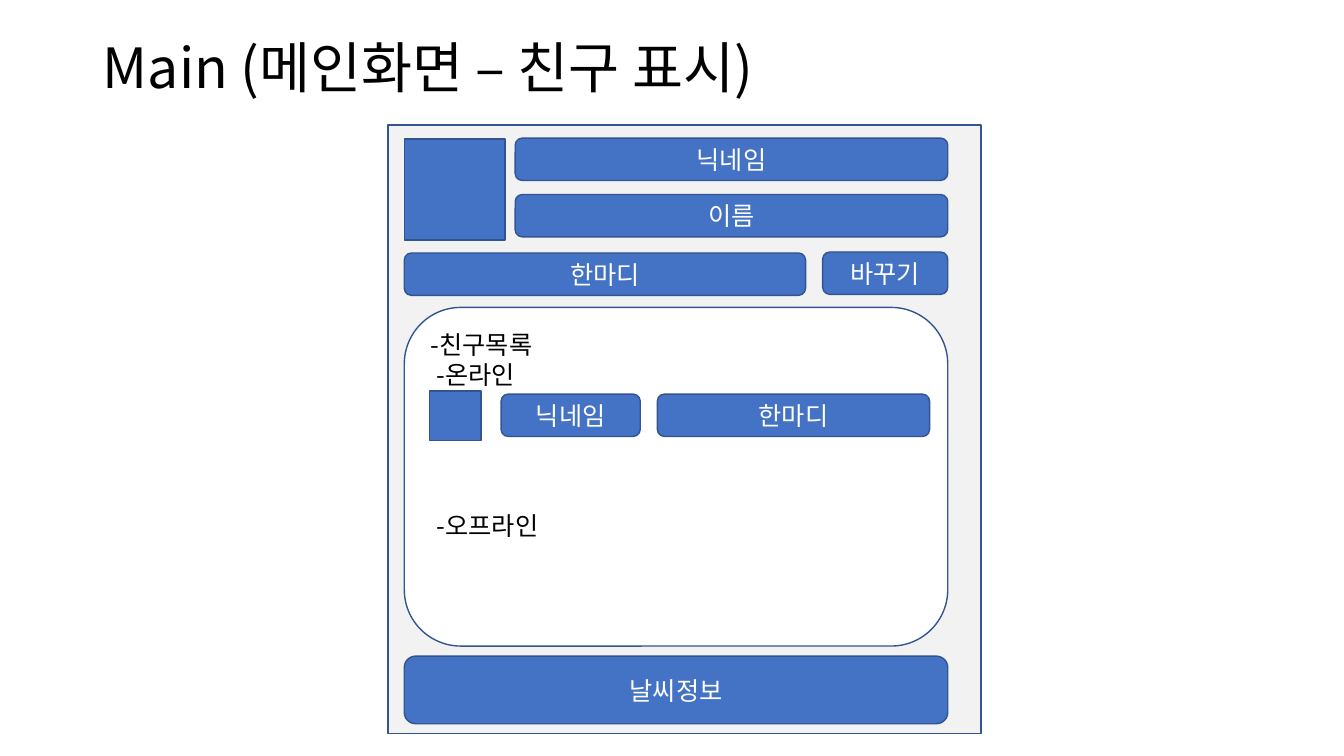
from dataclasses import dataclass

from lxml import etree
from pptx import Presentation, util as u
from pptx.dml.color import RGBColor
from pptx.enum import shapes, text
from pptx.oxml import ns

PX = 9144
RECT = shapes.MSO_SHAPE.RECTANGLE
ROUND = shapes.MSO_SHAPE.ROUNDED_RECTANGLE


@dataclass(frozen=True)
class Theme:
    font: str = "Noto Sans CJK KR"
    ink: str = "000000"
    white: str = "FFFFFF"
    panel: str = "F2F2F2"
    blue: str = "4472C4"
    edge: str = "325491"
    head: float = 39.6
    body: float = 18
    line: float = 1
    pitch: float = 21.6


@dataclass(frozen=True)
class Box:
    left: int
    top: int
    width: int
    height: int
    label: str = ""
    kind: int = ROUND
    fill: str = Theme.blue


@dataclass(frozen=True)
class Item:
    label: str
    indent: int = 0
    gap: int = 0


THEME = Theme()
LEFT, RIGHT, BAR = 401, 940, 42
NAME, ROW = 511, 391

TITLE = Box(92, 40, 1150, 59, "Main (메인화면 – 친구 표시)")
PANEL = Box(385, 124, 588, 604, kind=RECT, fill=THEME.panel)
LIST = Box(LEFT, 305, RIGHT - LEFT, 336, fill=THEME.white)
BOXES = [
    Box(NAME, 137, RIGHT - NAME, BAR, "닉네임"),
    Box(NAME, 193, RIGHT - NAME, BAR, "이름"),
    Box(LEFT, 251, 398, BAR, "한마디"),
    Box(816, 250, RIGHT - 816, BAR, "바꾸기"),
    Box(LEFT, 138, 100, 100, kind=RECT),
    Box(426, 388, 51, 49, kind=RECT),
    Box(497, ROW, 138, BAR, "닉네임"),
    Box(652, ROW, 270, BAR, "한마디"),
    Box(LEFT, 651, RIGHT - LEFT, 67, "날씨정보"),
]
ITEMS = [Item("-친구목록"), Item("-온라인", 6), Item("-오프라인", 6, 4)]


def style(para, size: float, color: str) -> None:
    font = para.font
    font.size = u.Pt(size)
    font.color.rgb = RGBColor.from_string(color)
    font.name = THEME.font
    props = para._p.pPr.find(ns.qn("a:defRPr"))
    etree.SubElement(props, ns.qn("a:ea"), typeface=THEME.font)


def draw(slide, box: Box):
    place = [n * PX for n in (box.left, box.top, box.width, box.height)]
    shape = slide.shapes.add_shape(box.kind, *place)
    shape.shadow.inherit = False
    shape.fill.solid()
    shape.fill.fore_color.rgb = RGBColor.from_string(box.fill)
    shape.line.color.rgb = RGBColor.from_string(THEME.edge)
    shape.line.width = u.Pt(THEME.line)
    if box.label:
        frame = shape.text_frame
        frame.vertical_anchor = text.MSO_ANCHOR.MIDDLE
        para = frame.paragraphs[0]
        para.text = box.label
        para.alignment = text.PP_ALIGN.CENTER
        style(para, THEME.body, THEME.white)
    return shape


def fill_list(shape, items: list[Item]) -> None:
    frame = shape.text_frame
    frame.word_wrap = True
    frame.vertical_anchor = text.MSO_ANCHOR.TOP
    frame.margin_top = 5 * PX
    for i, item in enumerate(items):
        para = frame.add_paragraph() if i else frame.paragraphs[0]
        para.text = item.label
        para.alignment = text.PP_ALIGN.LEFT
        para.line_spacing = u.Pt(THEME.pitch)
        para.space_before = u.Pt(item.gap * THEME.pitch)
        para._p.get_or_add_pPr().set("marL", str(item.indent * PX))
        style(para, THEME.body, THEME.ink)


def set_title(slide, box: Box) -> None:
    title = slide.shapes.title
    title.left, title.top = box.left * PX, box.top * PX
    title.width, title.height = box.width * PX, box.height * PX
    frame = title.text_frame
    frame.auto_size = text.MSO_AUTO_SIZE.NONE
    frame.vertical_anchor = text.MSO_ANCHOR.MIDDLE
    para = frame.paragraphs[0]
    para.text = box.label
    para.alignment = text.PP_ALIGN.LEFT
    para.line_spacing = 0.9
    style(para, THEME.head, THEME.ink)


def main() -> None:
    deck = Presentation()
    deck.slide_width, deck.slide_height = 1333 * PX, 750 * PX
    slide = deck.slides.add_slide(deck.slide_layouts[5])
    set_title(slide, TITLE)
    draw(slide, PANEL)
    fill_list(draw(slide, LIST), ITEMS)
    for box in BOXES:
        draw(slide, box)
    deck.save("out.pptx")


if __name__ == "__main__":
    main()
